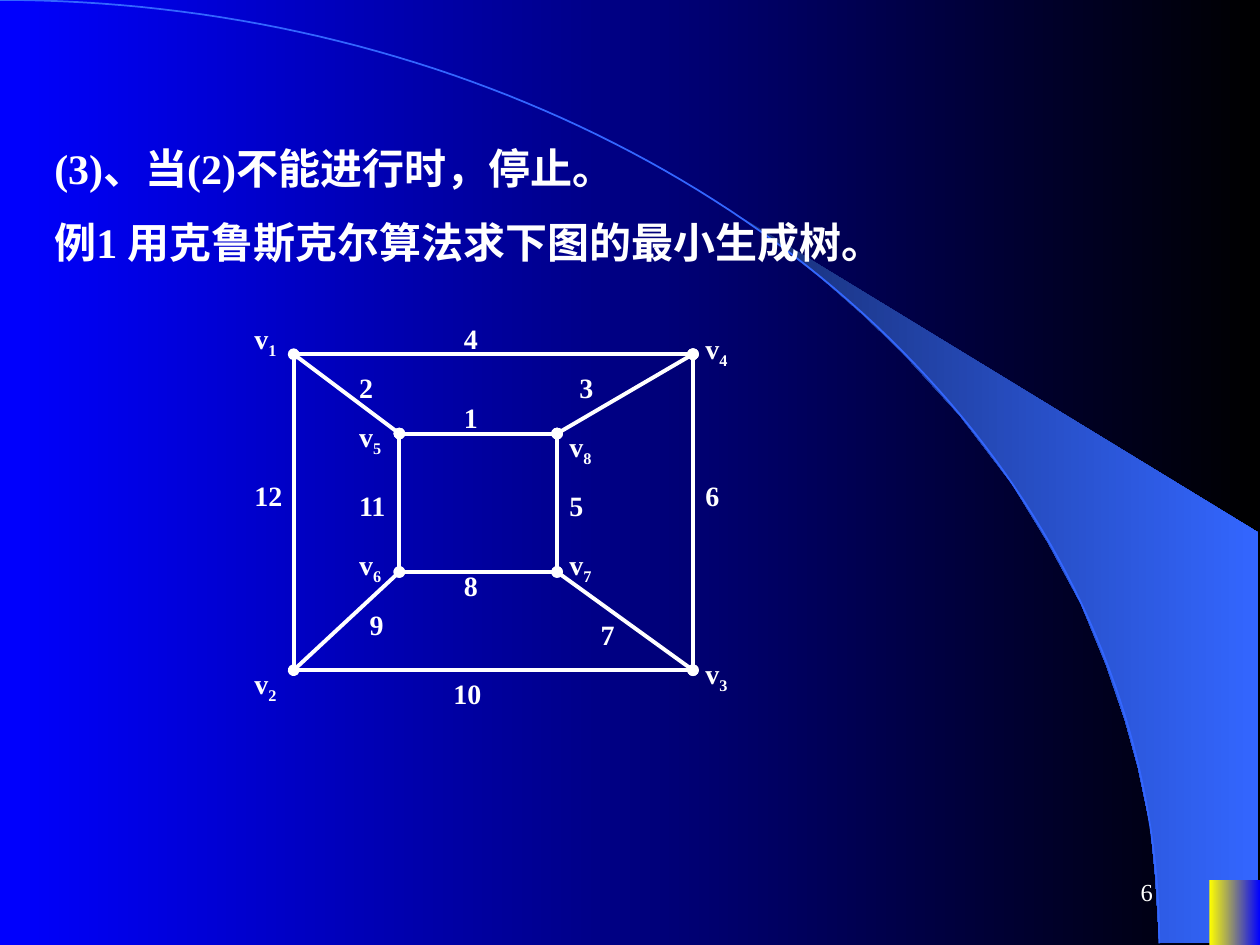
"""Builds the slide that poses the minimum spanning tree example."""
import math

from lxml import etree
from pptx import Presentation, util as u
from pptx.dml import color
from pptx.enum import shapes, text
from pptx.oxml import ns

COLOURS = {"white": "FFFFFF", "blue": "0000FF", "black": "000000",
           "navy": "182F76", "sky": "3366FF", "yellow": "FFFF00"}
STATEMENT = {"size": u.Pt(24), "bold": True}
LABEL = {"size": u.Pt(16), "bold": True}
NUMBER = {"size": u.Pt(14), "bold": False}

WEDGE = [(23.37, 19), (25.37, 19.02), (25.37, 10.74), (14.96, 4.39), (15.85, 5.05),
         (16.59, 5.64), (17.4, 6.35), (18.19, 7.11), (19.35, 8.38), (20.4, 9.75),
         (21.13, 10.95), (21.79, 12.17), (22.3, 13.41), (22.68, 14.53),
         (22.94, 15.47), (23.19, 16.66), (23.29, 17.68)]
ARC_WIDTH, ARC_HEIGHT, ARC_STEPS = 23.37, 19.02, 90

OUTER_X, OUTER_Y = (5.92, 13.97), (7.14, 13.51)
INNER_X, INNER_Y = (8.05, 11.23), (8.74, 11.53)
VERTICES = {1: (OUTER_X[0], OUTER_Y[0]), 2: (OUTER_X[0], OUTER_Y[1]),
            3: (OUTER_X[1], OUTER_Y[1]), 4: (OUTER_X[1], OUTER_Y[0]),
            5: (INNER_X[0], INNER_Y[0]), 6: (INNER_X[0], INNER_Y[1]),
            7: (INNER_X[1], INNER_Y[1]), 8: (INNER_X[1], INNER_Y[0])}
VERTEX_LABELS = {1: (4.88, 6.35), 2: (4.88, 13.31), 3: (13.97, 13.11), 4: (13.97, 6.55),
                 5: (6.99, 8.33), 6: (6.99, 10.92), 7: (11.23, 10.92), 8: (11.23, 8.53)}
EDGES = [(5, 8, 1, (9.1, 7.95), True), (1, 5, 2, (6.99, 7.34), False),
         (4, 8, 3, (11.43, 7.34), True), (1, 4, 4, (9.1, 6.35), True),
         (8, 7, 5, (11.23, 9.73), True), (4, 3, 6, (13.97, 9.53), True),
         (7, 3, 7, (11.86, 12.32), True), (6, 7, 8, (9.1, 11.33), False),
         (6, 2, 9, (7.2, 12.12), True), (2, 3, 10, (8.89, 13.51), False),
         (5, 6, 11, (6.99, 9.73), True), (1, 2, 12, (4.88, 9.53), False)]


class GraphSlide:
    """Holds the style and the current slide."""

    font_name = "Times New Roman"

    def __init__(self, slide):
        self.slide = slide

    def rgb(self, name):
        return color.RGBColor.from_string(COLOURS[name])

    def gradient(self, fill, *names):
        fill.gradient()
        fill.gradient_angle = 0
        for stop, name in zip(fill.gradient_stops, names):
            stop.color.rgb = self.rgb(name)

    def outline(self, points, closed):
        corners = [(u.Cm(x), u.Cm(y)) for x, y in points]
        builder = self.slide.shapes.build_freeform(*corners[0])
        builder.add_line_segments(corners[1:], close=closed)
        shape = builder.convert_to_shape()
        shape.shadow.inherit = False
        return shape

    def wedge(self, points):
        shape = self.outline(points, True)
        self.gradient(shape.fill, "navy", "sky")
        shape.line.fill.background()

    def arc(self, width, height, steps):
        angles = [math.pi / 2 * step / steps for step in range(steps + 1)]
        shape = self.outline([(width * math.sin(a), height * (1 - math.cos(a)))
                              for a in angles], False)
        shape.fill.background()
        shape.line.color.rgb = self.rgb("sky")
        shape.line.width = u.Pt(1)

    def corner(self, *box):
        shape = self.slide.shapes.add_shape(shapes.MSO_SHAPE.RECTANGLE, *map(u.Cm, box))
        shape.shadow.inherit = False
        self.gradient(shape.fill, "yellow", "blue")
        shape.line.fill.background()

    def styled_run(self, paragraph, words, style, subscript=False):
        run = paragraph.add_run()
        run.text = words
        for key, value in {"name": self.font_name, **style}.items():
            setattr(run.font, key, value)
        run.font.color.rgb = self.rgb("white")
        if subscript:
            run.font._element.set("baseline", "-25000")

    def statement(self, placeholder, words, top):
        box = {"left": 0.84, "top": top, "width": 20.96, "height": 1.27}
        for key, value in box.items():
            setattr(placeholder, key, u.Cm(value))
        frame = placeholder.text_frame
        frame.word_wrap = True
        frame.auto_size = text.MSO_AUTO_SIZE.SHAPE_TO_FIT_TEXT
        frame.vertical_anchor = text.MSO_ANCHOR.TOP
        paragraph = frame.paragraphs[0]
        properties = paragraph._p.get_or_add_pPr()
        for key in ("marL", "indent"):
            properties.set(key, "0")
        etree.SubElement(properties, ns.qn("a:buNone"))
        paragraph.alignment = text.PP_ALIGN.LEFT
        paragraph.space_before = u.Pt(0)
        self.styled_run(paragraph, words, STATEMENT)
        self.slide.shapes.element.append(placeholder.element)

    def label(self, box, words, style=LABEL, subscript=""):
        frame = self.slide.shapes.add_textbox(*map(u.Cm, box)).text_frame
        frame.word_wrap = True
        paragraph = frame.paragraphs[0]
        self.styled_run(paragraph, words, style)
        if subscript:
            self.styled_run(paragraph, subscript, style, True)
        return frame

    def page_number(self, box, words):
        frame = self.label(box, words, NUMBER)
        frame.vertical_anchor = text.MSO_ANCHOR.MIDDLE
        frame.paragraphs[0].alignment = text.PP_ALIGN.RIGHT

    def edge(self, start, end, dotted):
        line = self.slide.shapes.add_connector(
            shapes.MSO_CONNECTOR.STRAIGHT, *map(u.Cm, start + end))
        line.line.color.rgb = self.rgb("white")
        line.line.width = u.Pt(2.25)
        properties = line._element.spPr
        if dotted:
            for tip in ("a:headEnd", "a:tailEnd"):
                etree.SubElement(properties.find(ns.qn("a:ln")), ns.qn(tip), type="oval")
        etree.SubElement(properties, ns.qn("a:effectLst"))


def main():
    deck = Presentation()
    deck.slide_width, deck.slide_height = u.Cm(25.4), u.Cm(19.05)
    slide = deck.slides.add_slide(deck.slide_layouts[1])
    page = GraphSlide(slide)
    page.gradient(slide.background.fill, "blue", "black")
    page.wedge(WEDGE)
    page.arc(ARC_WIDTH, ARC_HEIGHT, ARC_STEPS)
    page.corner(24.38, 17.74, 1.02, 1.31)
    page.page_number((18.21, 17.35, 5.28, 1.27), "6")
    title, body = slide.placeholders
    page.statement(title, "(3)、当(2)不能进行时，停止。", 2.74)
    page.statement(body, "例1 用克鲁斯克尔算法求下图的最小生成树。", 4.24)
    for start, end, weight, place, dotted in EDGES:
        page.edge(VERTICES[start], VERTICES[end], dotted)
        page.label((*place, 1.09, 0.94), str(weight))
    for index, place in VERTEX_LABELS.items():
        page.label((*place, 1.32, 1.04), "v", subscript=str(index))
    deck.save("out.pptx")


if __name__ == "__main__":
    main()
